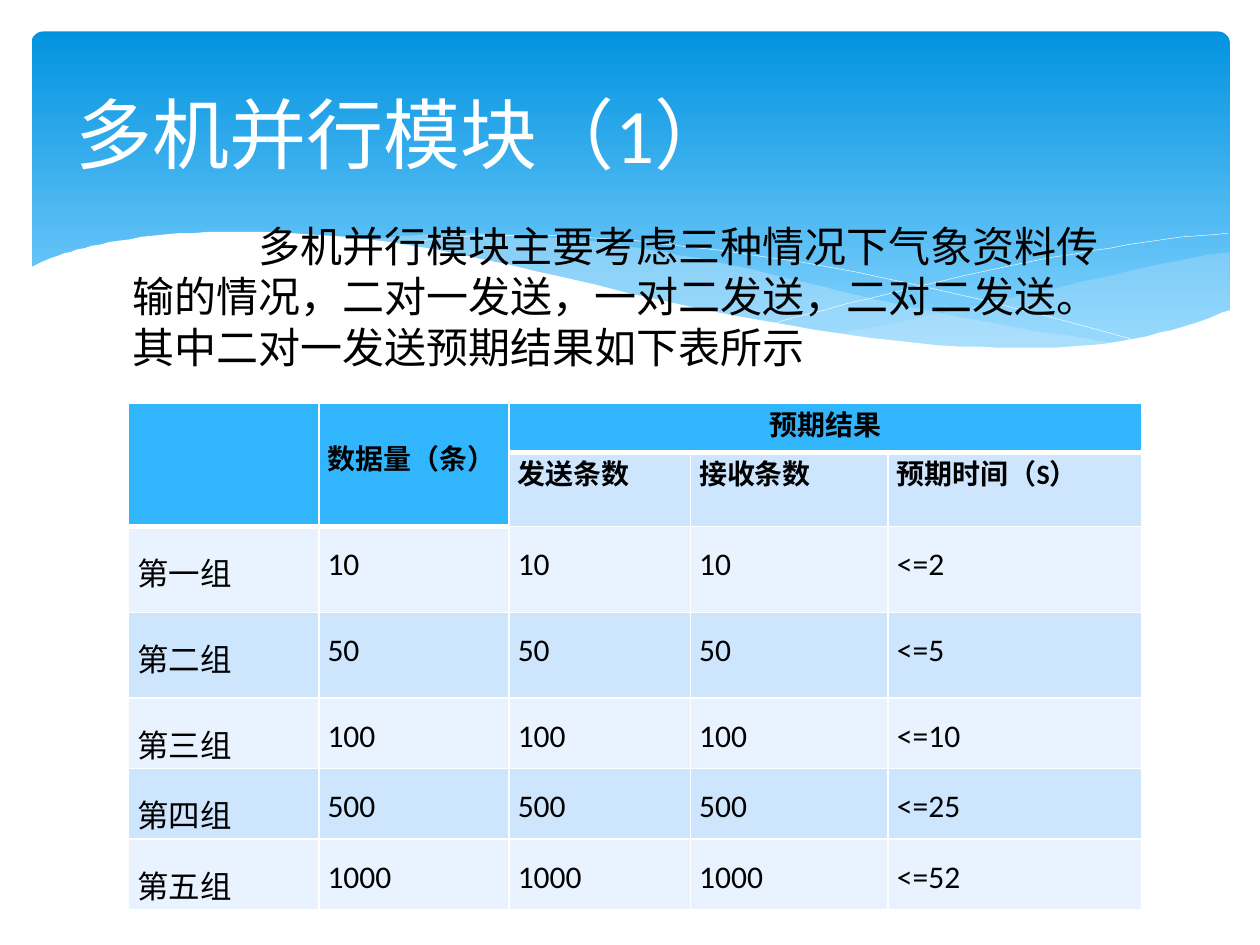
from lxml import etree
from pptx import Presentation
from pptx import util as u
from pptx.dml.color import RGBColor
from pptx.enum import shapes, text
from pptx.oxml.ns import qn

TITLE = "多机并行模块（1）"
BODY = ("多机并行模块主要考虑三种情况下气象资料传输的情况，二对一发送，"
        "一对二发送，二对二发送。其中二对一发送预期结果如下表所示")
HEAD = [["", "数据量（条）", "预期结果", "", ""],
        ["", "", "发送条数", "接收条数", "预期时间（S）"]]
GROUPS = [("第一组", "10", "<=2"), ("第二组", "50", "<=5"),
          ("第三组", "100", "<=10"), ("第四组", "500", "<=25"),
          ("第五组", "1000", "<=52")]
ROWS = HEAD + [[name, n, n, n, time] for name, n, time in GROUPS]
COLS = [151, 151, 144, 157, 201]
HIGH = [39, 59, 68, 68, 56, 56, 56]
MERGES = [((0, 0), (1, 0)), ((0, 1), (1, 1)), ((0, 2), (0, 4))]
BLUE, PALE, MIST, WHITE, BLACK = "31B6FD", "CEE5FE", "E8F3FF", "FFFFFF", "000000"

# Each ribbon: fill, opacity in percent, and the curves that bound it
RIBBONS = [
    ("C6E7FC", 29, [
        [(976, 200), (935, 207), (861, 223), (779, 242), (706, 257), (661, 265)],
        [(661, 265), (719, 272), (769, 277), (814, 278), (854, 276), (889, 272),
         (921, 265), (949, 257), (976, 247)]]),
    ("C6E7FC", 40, [
        [(893, 273), (837, 265), (775, 254), (706, 240), (629, 222), (569, 208),
         (514, 198), (465, 191), (420, 187), (380, 185), (344, 186), (313, 188),
         (286, 191)],
        [(286, 191), (342, 199), (404, 211), (449, 222), (530, 240), (601, 255),
         (665, 266), (722, 274), (773, 277), (818, 278), (857, 277), (893, 273)]]),
    (WHITE, 100, [
        [(977, 246), (940, 259), (899, 269), (850, 275), (793, 276), (726, 272),
         (648, 262), (555, 245), (447, 220), (365, 202), (292, 190), (230, 185),
         (177, 184), (132, 186), (95, 191), (67, 197), (46, 203), (23, 213)],
        [(23, 329), (977, 329)]]),
]
STRANDS = [
    [(309, 195), (344, 190), (387, 187), (433, 187), (489, 190), (556, 197),
     (636, 208), (727, 226), (831, 251), (907, 272)],
    [(613, 257), (672, 241), (748, 223), (806, 210), (866, 199), (924, 190),
     (975, 185)],
]
SCALE = 9144  # 100 px to the inch


def px(n):
    return u.Emu(round(n * SCALE))


def tint(code):
    return RGBColor.from_string(code)


def place(shape, x, y, w, h):
    shape.left, shape.top, shape.width, shape.height = map(px, (x, y, w, h))


def smooth(pts, steps=4):
    """Catmull-Rom points through pts."""
    ends = [pts[0]] + pts + [pts[-1]]
    out = [pts[0]]
    for a, b, c, d in zip(ends, ends[1:], ends[2:], ends[3:]):
        for k in range(1, steps + 1):
            t = k / steps
            out.append(tuple(
                (2 * q + (r - p) * t + (2 * p - 5 * q + 4 * r - s) * t * t
                 + (3 * q - p - 3 * r + s) * t ** 3) / 2
                for p, q, r, s in zip(a, b, c, d)))
    return out


def trace(slide, curves, close):
    pts = [pt for curve in curves for pt in smooth(curve)]
    pen = slide.shapes.build_freeform(*pts[0], scale=SCALE)
    pen.add_line_segments(pts[1:], close=close)
    shape = pen.convert_to_shape()
    shape.shadow.inherit = False
    return shape


def style(para, size, color, bold=False):
    for run in para.runs:
        font = run.font
        font.name, font.size, font.bold = "Calibri", u.Pt(size), bold
        font.color.rgb = tint(color)


def edge(cell, side, width):
    line = etree.SubElement(cell._tc.get_or_add_tcPr(), qn("a:" + side),
                            w=str(u.Pt(width)))
    fill = etree.SubElement(line, qn("a:solidFill"))
    etree.SubElement(fill, qn("a:srgbClr"), val=WHITE)


def backdrop(slide):
    band = slide.shapes.add_shape(shapes.MSO_SHAPE.ROUNDED_RECTANGLE,
                                  px(25), px(25), px(951), px(270))
    band.adjustments[0] = 0.034
    band.shadow.inherit = False
    band.line.fill.background()
    band.fill.gradient()
    band.fill.gradient_angle = 270
    for stop, (pos, code) in zip(band.fill.gradient_stops,
                                 [(0, "0293E0"), (0.9, "83D3FE")]):
        stop.position, stop.color.rgb = pos, tint(code)
    parts = [band]

    def ribbon(code, alpha, curves):
        shape = trace(slide, curves, True)
        shape.line.fill.background()
        shape.fill.solid()
        shape.fill.fore_color.rgb = tint(code)
        if alpha < 100:
            clr = shape._element.spPr.find(".//" + qn("a:srgbClr"))
            etree.SubElement(clr, qn("a:alpha"), val=str(alpha * 1000))
        parts.append(shape)

    for item in RIBBONS[:2]:
        ribbon(*item)
    for curve in STRANDS:
        strand = trace(slide, [curve], False)
        strand.fill.background()
        strand.line.color.rgb = tint(WHITE)
        strand.line.width = u.Pt(0.25)
        parts.append(strand)
    ribbon(*RIBBONS[2])
    for i, part in enumerate(parts):
        slide.shapes._spTree.insert(2 + i, part._element)


def grid(slide):
    frame = slide.shapes.add_table(len(ROWS), len(COLS), px(102), px(320),
                                   px(sum(COLS)), px(sum(HIGH)))
    table = frame.table
    for col, w in zip(table.columns, COLS):
        col.width = px(w)
    for row, h in zip(table.rows, HIGH):
        row.height = px(h)
    for r, row in enumerate(ROWS):
        for c, words in enumerate(row):
            cell = table.cell(r, c)
            top = r == 0 or (r == 1 and c < 2)
            cell.margin_left = cell.margin_right = px(7)
            cell.margin_top = px(27 if words == HEAD[0][1] else 0)
            cell.margin_bottom = 0
            for side in ("lnL", "lnR", "lnT", "lnB"):
                edge(cell, side, 3 if top and side == "lnB" else 1)
            cell.fill.solid()
            cell.fill.fore_color.rgb = tint(BLUE if top else PALE if r % 2 else MIST)
            if not words:
                continue
            cell.text_frame.text = words
            para = cell.text_frame.paragraphs[0]
            para.alignment = (text.PP_ALIGN.CENTER if (r, c) == (0, 2)
                              else text.PP_ALIGN.JUSTIFY)
            if r > 1:
                para.line_spacing = 1.5
            style(para, 18 if r > 1 else 16, BLACK, r < 2)
    for a, b in MERGES:
        table.cell(*a).merge(table.cell(*b))


def main():
    deck = Presentation()
    deck.slide_width, deck.slide_height = px(1000), px(750)
    slide = deck.slides.add_slide(deck.slide_layouts[1])
    title, body = slide.placeholders
    backdrop(slide)

    place(title, 50, 37, 900, 137)
    title.text_frame.text = TITLE
    title.text_frame.vertical_anchor = text.MSO_ANCHOR.MIDDLE
    para = title.text_frame.paragraphs[0]
    para.alignment = text.PP_ALIGN.LEFT
    style(para, 44, WHITE)

    grid(slide)

    place(body, 95, 170, 810, 134)
    body.text_frame.text = BODY
    body.text_frame.auto_size = text.MSO_AUTO_SIZE.NONE
    para = body.text_frame.paragraphs[0]
    props = para._p.get_or_add_pPr()
    props.set("marL", "0")
    props.set("indent", str(px(100)))
    etree.SubElement(props, qn("a:buNone"))
    style(para, 24, BLACK)
    slide.shapes._spTree.append(body._element)

    deck.save("out.pptx")


if __name__ == "__main__":
    main()
